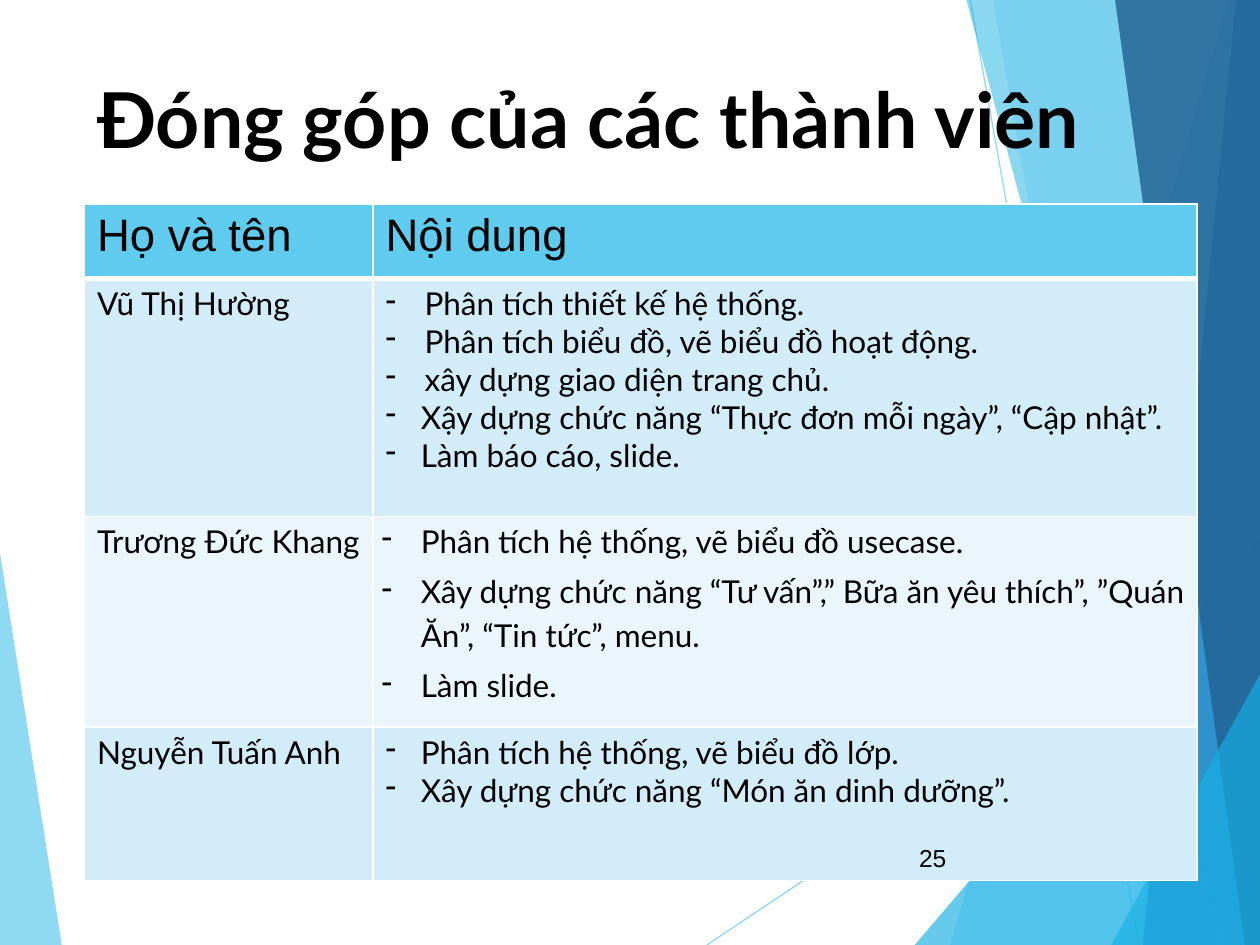
from lxml import etree
from pptx import Presentation
from pptx.dml.color import RGBColor
from pptx.enum import text as t
from pptx.oxml.ns import qn
from pptx.util import Inches, Pt

THEME = {
    "text": "000000", "border": "FFFFFF", "header": "5FCBEF",
    "bands": ("D2ECF9", "EAF6FC"),
    "sky": "5FCBEF", "cyan": "17B0E4", "blue": "2E83C3", "navy": "226292",
    "body_font": "Lato", "head_font": "Arial",
    "title_size": 44, "head_size": 26, "body_size": 18, "number_size": 14,
}

TITLE = "Đóng góp của các thành viên"
PAGE_NUMBER = "25"
HEADERS = ("Họ và tên", "Nội dung")
WIDE, NARROW = 0.31, 0.28  # hanging indents of the dash lists
LOOSE = {"line_spacing": 1.15, "space": 2}
# member, tasks as (text, indent), spacing of the list, cell insets (side, top)
MEMBERS = [
    ("Vũ Thị Hường", [
        ("Phân tích thiết kế hệ thống.", WIDE),
        ("Phân tích biểu đồ, vẽ biểu đồ hoạt động.", WIDE),
        ("xây dựng giao diện trang chủ.", WIDE),
        ("Xậy dựng chức năng “Thực đơn mỗi ngày”, “Cập nhật”.", NARROW),
        ("Làm báo cáo, slide.", NARROW),
    ], {}, (0.1, 0.05)),
    ("Trương Đức Khang", [
        ("Phân tích hệ thống, vẽ biểu đồ usecase.", WIDE),
        ("Xây dựng chức năng “Tư vấn”,” Bữa ăn yêu thích”, ”Quán Ăn”, “Tin tức”, menu.", WIDE),
        ("Làm slide.", WIDE),
    ], LOOSE, (0.07, 0)),
    ("Nguyễn Tuấn Anh", [
        ("Phân tích hệ thống, vẽ biểu đồ lớp.", NARROW),
        ("Xây dựng chức năng “Món ăn dinh dưỡng”.", NARROW),
    ], {}, (0.1, 0.05)),
]
COLUMN_WIDTHS = (2.29, 6.54)
ROW_HEIGHTS = (0.59, 1.89, 1.67, 1.22)

# colour, opacity in percent, corners
LEFT_FACET = ("sky", 70, [(0, 4.39), (0.49, 7.5), (0, 7.5)])
RIGHT_FACETS = [
    ("sky", 36, [(9.75, 0), (7.54, 7.5), (10, 7.5), (10, 0)]),
    ("sky", 20, [(7.88, 0), (9.19, 7.5), (10, 7.5), (10, 0)]),
    ("cyan", 66, [(7.26, 7.5), (10, 4.29), (10, 7.5)]),
    ("cyan", 50, [(7.67, 0), (9.7, 7.5), (10, 7.5), (10, 0)]),
    ("blue", 70, [(9.81, 0), (9.07, 7.5), (10, 7.5), (10, 0)]),
    ("navy", 82, [(8.85, 0), (9.88, 7.5), (10, 7.5), (10, 0)]),
    ("cyan", 66, [(8.82, 7.5), (10, 5.35), (10, 7.5)]),
]
RAYS = [((5.61, 7.5), (10, 4.57)), ((7.7, 0), (9.04, 7.5))]


def set_opacity(fill_owner, percent):
    color = next(fill_owner.iter(qn("a:srgbClr")))
    etree.SubElement(color, qn("a:alpha")).set("val", str(percent * 1000))


def add_facet(shapes, color, opacity, corners):
    points = [(Inches(x), Inches(y)) for x, y in corners]
    builder = shapes.build_freeform(*points[0])
    builder.add_line_segments(points[1:], close=True)
    facet = builder.convert_to_shape()
    facet.shadow.inherit = False
    facet.fill.solid()
    facet.fill.fore_color.rgb = RGBColor.from_string(THEME[color])
    facet.line.fill.background()
    set_opacity(facet._element.spPr, opacity)


def add_ray(shapes, start, end):
    ray = shapes.add_connector(1, *map(Inches, start + end))
    ray.line.color.rgb = RGBColor.from_string(THEME["sky"])
    ray.line.width = Pt(0.75)
    set_opacity(ray._element.spPr, 70)
    etree.SubElement(ray._element.spPr, qn("a:effectLst"))


def write(paragraph, content, size="body_size", font="body_font", bold=False,
          align=t.PP_ALIGN.LEFT, indent=None, line_spacing=None, space=0):
    paragraph.alignment = align
    paragraph.space_before = paragraph.space_after = Pt(space)
    if line_spacing:
        paragraph.line_spacing = line_spacing
    if indent:
        props = paragraph._p.get_or_add_pPr()
        props.set("marL", str(Inches(indent)))
        props.set("indent", str(-Inches(indent)))
        etree.SubElement(props, qn("a:buChar")).set("char", "-")
    run = paragraph.add_run()
    run.text = content
    run.font.name = THEME[font]
    run.font.size = Pt(THEME[size])
    run.font.bold = bold
    run.font.color.rgb = RGBColor.from_string(THEME["text"])


def style_cell(cell, fill, bottom=1):
    cell.fill.solid()
    cell.fill.fore_color.rgb = RGBColor.from_string(fill)
    widths = {"a:lnL": 1, "a:lnR": 1, "a:lnT": 1, "a:lnB": bottom}
    for place, (side, width) in enumerate(widths.items()):
        line = etree.Element(qn(side), w=str(Pt(width)))
        solid = etree.SubElement(line, qn("a:solidFill"))
        etree.SubElement(solid, qn("a:srgbClr")).set("val", THEME["border"])
        cell._tc.get_or_add_tcPr().insert(place, line)


def add_contributions(shapes):
    table = shapes.add_table(
        len(MEMBERS) + 1, len(HEADERS), Inches(0.67), Inches(1.62),
        Inches(sum(COLUMN_WIDTHS)), Inches(sum(ROW_HEIGHTS))).table
    for column, width in zip(table.columns, COLUMN_WIDTHS):
        column.width = Inches(width)
    for row, height in zip(table.rows, ROW_HEIGHTS):
        row.height = Inches(height)
    for column, header in enumerate(HEADERS):
        cell = table.cell(0, column)
        style_cell(cell, THEME["header"], bottom=3)
        write(cell.text_frame.paragraphs[0], header, size="head_size", font="head_font")
    for row, (member, tasks, spacing, (side, top)) in enumerate(MEMBERS, 1):
        name_cell, task_cell = table.cell(row, 0), table.cell(row, 1)
        for cell in (name_cell, task_cell):
            style_cell(cell, THEME["bands"][(row - 1) % 2])
        write(name_cell.text_frame.paragraphs[0], member)
        task_cell.margin_left = task_cell.margin_right = Inches(side)
        task_cell.margin_top = task_cell.margin_bottom = Inches(top)
        frame = task_cell.text_frame
        for index, (task, indent) in enumerate(tasks):
            paragraph = frame.add_paragraph() if index else frame.paragraphs[0]
            write(paragraph, task, indent=indent, **spacing)


def main():
    deck = Presentation()
    deck.slide_width, deck.slide_height = Inches(10), Inches(7.5)
    slide = deck.slides.add_slide(deck.slide_layouts[5])
    shapes = slide.shapes

    add_facet(shapes, *LEFT_FACET)
    for start, end in RAYS:
        add_ray(shapes, start, end)
    for facet in RIGHT_FACETS:
        add_facet(shapes, *facet)

    heading = shapes.title
    heading.left, heading.top = Inches(0.67), Inches(0.52)
    heading.width, heading.height = Inches(8.59), Inches(1.1)
    heading.text_frame.vertical_anchor = t.MSO_ANCHOR.TOP
    heading.text_frame.auto_size = t.MSO_AUTO_SIZE.NONE
    write(heading.text_frame.paragraphs[0], TITLE, size="title_size", bold=True)
    heading._element.getparent().append(heading._element)  # in front of the facets

    add_contributions(shapes)

    number = shapes.add_textbox(Inches(7.05), Inches(6.61), Inches(0.56), Inches(0.4))
    number.text_frame.word_wrap = True
    number.text_frame.vertical_anchor = t.MSO_ANCHOR.MIDDLE
    write(number.text_frame.paragraphs[0], PAGE_NUMBER, size="number_size",
          font="head_font", align=t.PP_ALIGN.RIGHT)

    deck.save("out.pptx")


if __name__ == "__main__":
    main()
